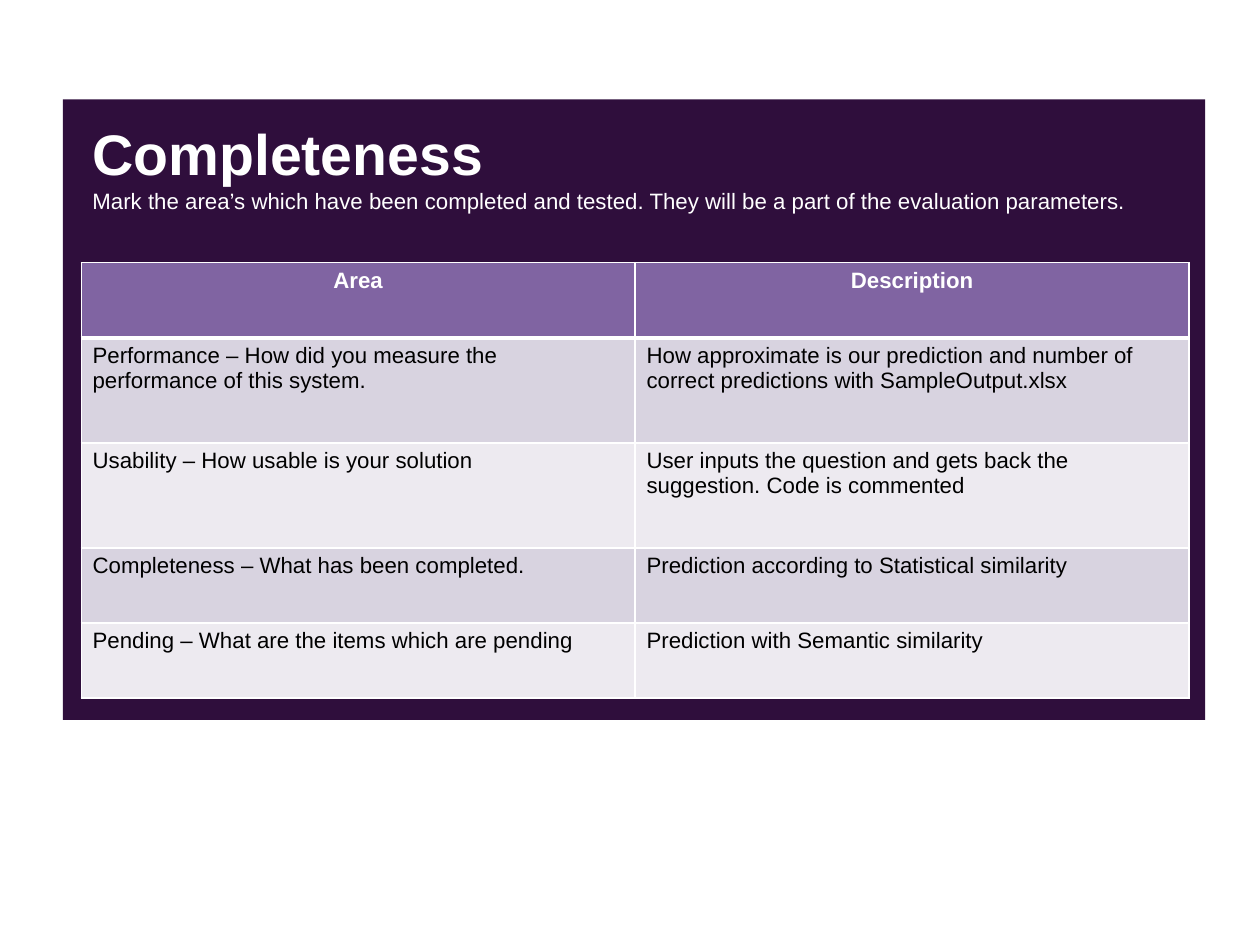
from dataclasses import dataclass
from typing import NamedTuple

from lxml import etree
from pptx import Presentation
from pptx import util as u
from pptx.dml.color import RGBColor
from pptx.enum import shapes, text
from pptx.oxml import ns


@dataclass(frozen=True)
class Theme:
    """Colours, type and line widths of the slide."""
    font: str = "Arial"
    title: int = 36
    body: int = 14
    white: str = "FFFFFF"
    black: str = "000000"
    panel: str = "2F0E3C"
    head: str = "8064A2"
    bands: tuple[str, str] = ("D8D3E0", "EDEAF0")
    thin: int = 1
    thick: int = 3


class Box(NamedTuple):
    """A place in shares of the slide's width and height."""
    left: float
    top: float
    width: float
    height: float


class Row(NamedTuple):
    """One table row: its two texts and its height in lines."""
    area: str
    note: str
    lines: int


THEME = Theme()
WIDE, HIGH = u.Cm(28), u.Cm(21)
LEFT, WIDTH = 0.71 / 11.02, 9.69 / 11.02
PANEL = Box(0.55 / 11.02, 0.87 / 8.27, 9.99 / 11.02, 5.43 / 8.27)
TITLE = Box(LEFT, 0.99 / 8.27, WIDTH, 0.91 / 8.27)
TABLE = Box(LEFT, 2.3 / 8.27, WIDTH, 3.81 / 8.27)
ROWS = [
    Row("Area", "Description", 5),
    Row("Performance – How did you measure the performance of this system.",
        "How approximate is our prediction and number of correct predictions "
        "with SampleOutput.xlsx", 7),
    Row("Usability – How usable is your solution",
        "User inputs the question and gets back the suggestion. "
        "Code is commented", 7),
    Row("Completeness – What has been completed.",
        "Prediction according to Statistical similarity", 5),
    Row("Pending – What are the items which are pending",
        "Prediction with Semantic similarity", 5),
]


def place(box: Box) -> tuple[int, int, int, int]:
    """Turn shares of the slide into lengths."""
    return (int(box.left * WIDE), int(box.top * HIGH),
            int(box.width * WIDE), int(box.height * HIGH))


def paint(item, tint: str) -> None:
    """Give a shape or cell a solid fill."""
    item.fill.solid()
    item.fill.fore_color.rgb = RGBColor.from_string(tint)


def write(para, words: str, *, size: int = THEME.body, tint: str = THEME.white,
          bold: bool = False, align=text.PP_ALIGN.LEFT) -> None:
    """Put formatted words into a paragraph."""
    para.alignment = align
    run = para.add_run()
    run.text = words
    font = run.font
    font.name, font.size, font.bold = THEME.font, u.Pt(size), bold
    font.color.rgb = RGBColor.from_string(tint)


def edge(cell, side: str, width: int) -> None:
    """Draw one white border of a cell."""
    line = etree.SubElement(cell._tc.get_or_add_tcPr(), ns.qn(f"a:ln{side}"),
                            w=str(u.Pt(width)))
    fill = etree.SubElement(line, ns.qn("a:solidFill"))
    etree.SubElement(fill, ns.qn("a:srgbClr"), val=THEME.white)


def draw_panel(slide) -> None:
    """Draw the dark panel behind everything."""
    panel = slide.shapes.add_shape(shapes.MSO_SHAPE.RECTANGLE, *place(PANEL))
    panel.shadow.inherit = False
    paint(panel, THEME.panel)
    panel.line.fill.background()


def draw_title(slide) -> None:
    """Draw the title and the line under it."""
    frame = slide.shapes.add_textbox(*place(TITLE)).text_frame
    frame.word_wrap = True
    write(frame.paragraphs[0], "Completeness", size=THEME.title, bold=True)
    write(frame.add_paragraph(),
          "Mark the area’s which have been completed and tested. "
          "They will be a part of the evaluation parameters.")


def draw_table(slide) -> None:
    """Draw the table with its header and banded rows."""
    grid = slide.shapes.add_table(len(ROWS), 2, *place(TABLE)).table
    unit = TABLE.height * HIGH / sum(row.lines for row in ROWS)
    for i, row in enumerate(ROWS):
        grid.rows[i].height = int(row.lines * unit)
        head = i == 0
        for j, words in enumerate((row.area, row.note)):
            cell = grid.cell(i, j)
            for side in "LRTB":
                thick = (head and side == "B") or (i == 1 and side == "T")
                edge(cell, side, THEME.thick if thick else THEME.thin)
            paint(cell, THEME.head if head else THEME.bands[(i - 1) % 2])
            write(cell.text_frame.paragraphs[0], words, bold=head,
                  tint=THEME.white if head else THEME.black,
                  align=text.PP_ALIGN.CENTER if head else text.PP_ALIGN.LEFT)


def main() -> None:
    """Build and save the slide."""
    deck = Presentation()
    deck.slide_width, deck.slide_height = WIDE, HIGH
    slide = deck.slides.add_slide(deck.slide_layouts[6])
    draw_panel(slide)
    draw_title(slide)
    draw_table(slide)
    deck.save("out.pptx")


main()
